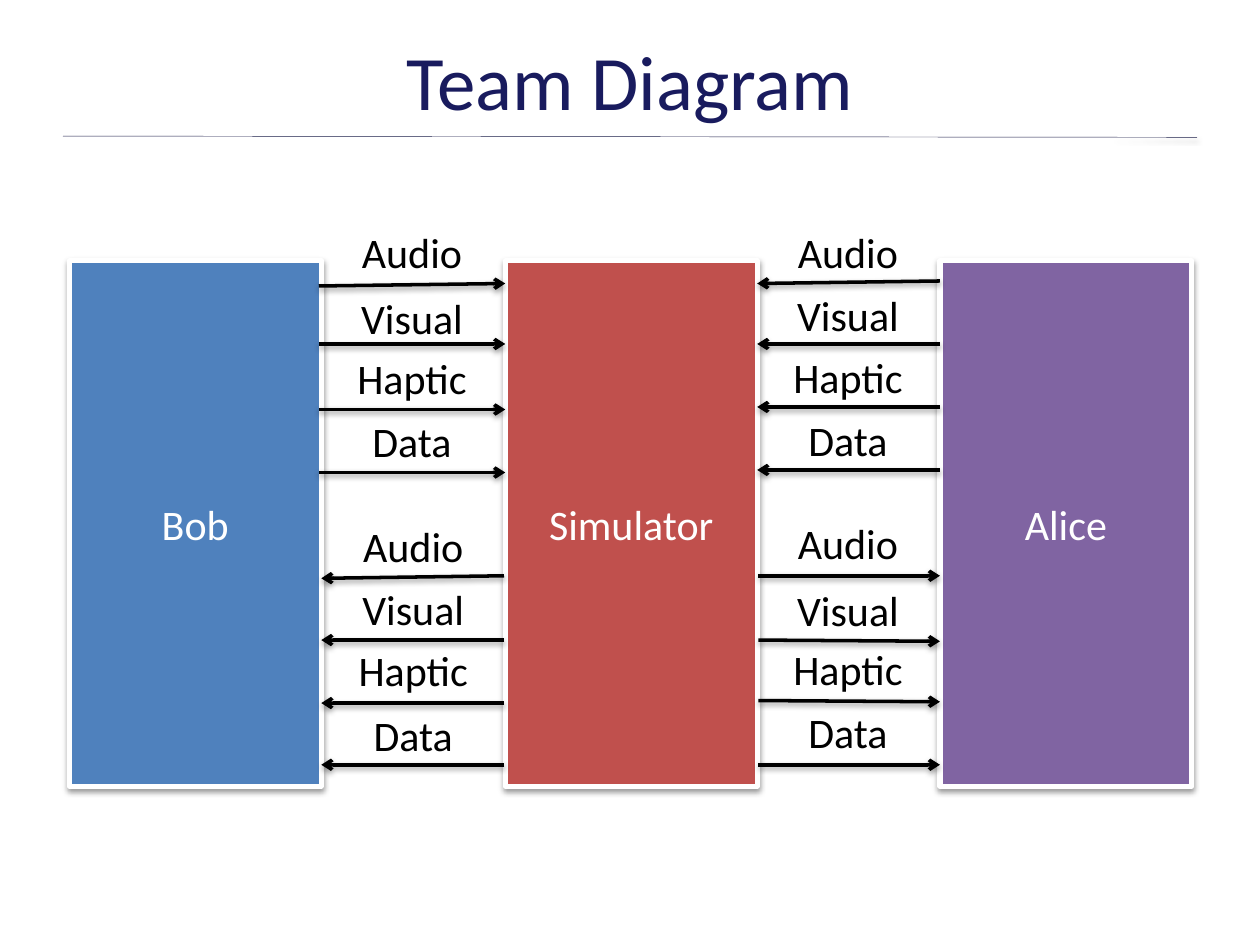
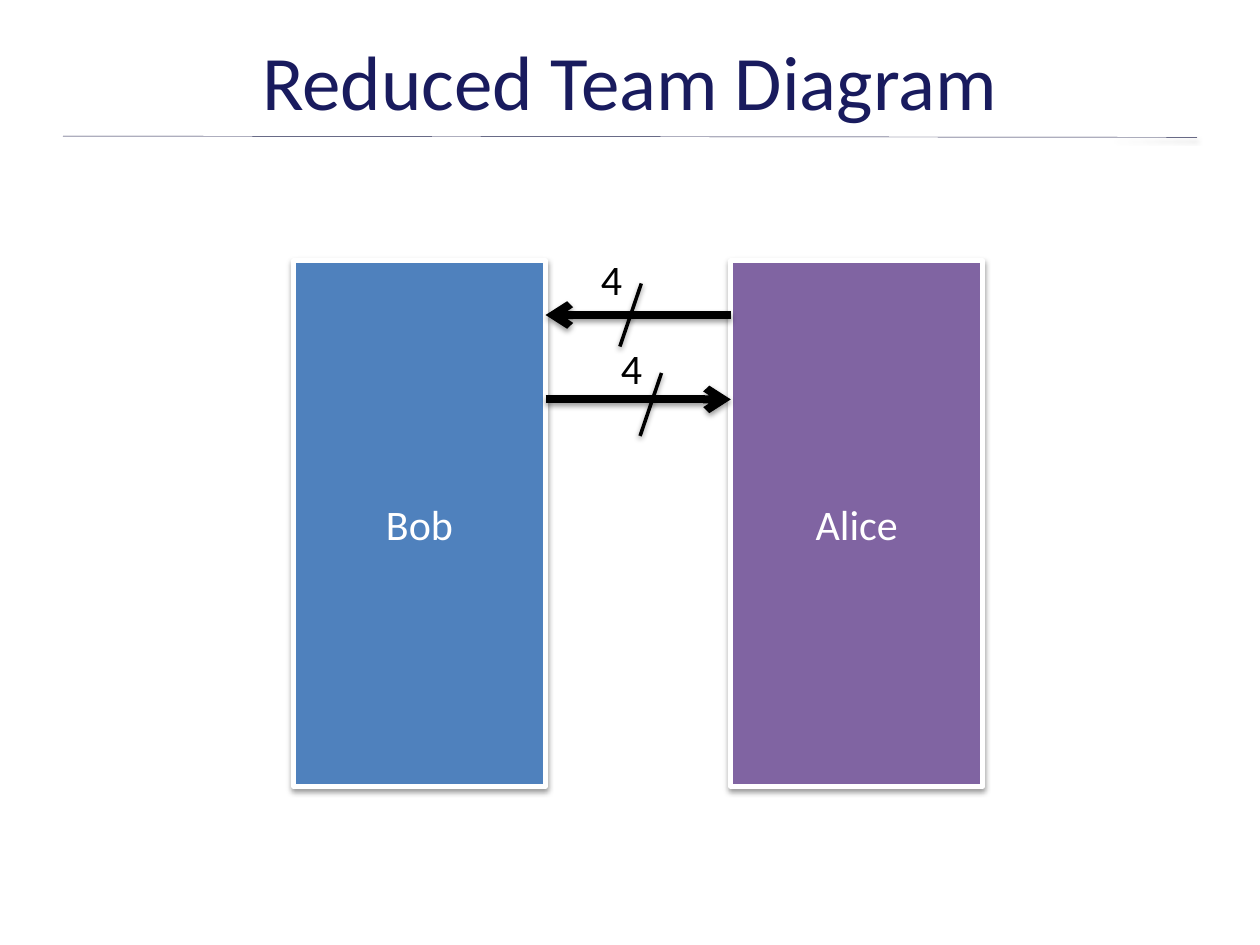
"""Build the full and the reduced team diagram slides."""
from lxml.etree import SubElement
from pptx import Presentation
from pptx.dml.color import RGBColor
from pptx.enum.shapes import MSO_CONNECTOR as Connector, MSO_SHAPE as Shape
from pptx.enum.text import MSO_ANCHOR as Anchor, MSO_AUTO_SIZE as AutoSize, PP_ALIGN as Align
from pptx.oxml.ns import qn
from pptx.util import Inches, Pt

FONT = "Calibri"
COLORS = {"title": "191B5E", "rule": "1A1C47", "white": "FFFFFF", "black": "000000",
          "Bob": "4F81BD", "Simulator": "C0504D", "Alice": "8064A2"}
BOX_TOP, BOX_WIDTH, BOX_HEIGHT = 2.07, 2, 4.17
LABEL_WIDTH, LABEL_HEIGHT = 1.46, 0.5

CHANNELS = ["Audio", "Visual", "Haptic", "Data"]
TEAM = {"Bob": 0.55, "Simulator": 4.01, "Alice": 7.46}
REDUCED_TEAM = {"Bob": 2.33, "Alice": 5.8}

# Each flow: arrow start x, arrow end x, label left, then label top, start y, end y per channel.
FLOWS = [
    (2.53, 4.01, 2.54, [(1.75, 2.27, 2.25), (2.27, 2.73, 2.73), (2.75, 3.25, 3.25), (3.25, 3.75, 3.75)]),
    (4, 2.55, 2.55, [(4.08, 4.57, 4.59), (4.58, 5.08, 5.08), (5.07, 5.58, 5.58), (5.58, 6.07, 6.07)]),
    (7.46, 6.01, 6, [(1.75, 2.23, 2.25), (2.25, 2.73, 2.73), (2.74, 3.23, 3.23), (3.24, 3.73, 3.73)]),
    (6.02, 7.46, 6, [(4.06, 4.57, 4.57), (4.59, 5.08, 5.09), (5.06, 5.56, 5.57), (5.56, 6.07, 6.07)]),
]
# Each bus: arrow start x, arrow end x, arrow y, slash left, slash top, label left, label top.
BUSES = [
    (5.8, 4.33, 2.5, 4.92, 2.25, 4.67, 1.96),
    (4.33, 5.8, 3.17, 5.08, 2.96, 4.83, 2.67),
]


def rgb(name):
    return RGBColor.from_string(COLORS[name])


def format_text(shape, size, color, align):
    for para in shape.text_frame.paragraphs:
        para.alignment = align
        for span in para.runs:
            span.font.name = FONT
            span.font.size = Pt(size)
            span.font.color.rgb = rgb(color)


def add_shadow(shape):
    properties = shape.element.spPr
    effects = properties.find(qn("a:effectLst"))
    if effects is None:
        effects = SubElement(properties, qn("a:effectLst"))
    shadow = SubElement(effects, qn("a:outerShdw"), blurRad="40000", dist="20000",
                        dir="5400000", rotWithShape="0")
    shade = SubElement(shadow, qn("a:srgbClr"), val=COLORS["black"])
    SubElement(shade, qn("a:alpha"), val="38000")


def add_line(page, start, end, width=2, color="black", arrow=True):
    line = page.shapes.add_connector(Connector.STRAIGHT, *map(Inches, start + end))
    line.line.color.rgb = rgb(color)
    line.line.width = Pt(width)
    if arrow:
        SubElement(line.element.spPr.find(qn("a:ln")), qn("a:tailEnd"), type="arrow")
    add_shadow(line)


def add_member(page, name, left):
    box = page.shapes.add_shape(Shape.RECTANGLE, *map(Inches, (left, BOX_TOP, BOX_WIDTH, BOX_HEIGHT)))
    box.fill.solid()
    box.fill.fore_color.rgb = rgb(name)
    box.line.color.rgb = rgb("white")
    box.line.width = Pt(3)
    box.shadow.inherit = False
    add_shadow(box)
    box.text_frame.text = name
    box.text_frame.vertical_anchor = Anchor.MIDDLE
    format_text(box, 24, "white", Align.CENTER)


def add_label(page, text, left, top, width=LABEL_WIDTH, wrap=True, align=Align.CENTER):
    label = page.shapes.add_textbox(*map(Inches, (left, top, width, LABEL_HEIGHT)))
    label.text_frame.text = text
    label.text_frame.word_wrap = wrap
    label.text_frame.auto_size = AutoSize.SHAPE_TO_FIT_TEXT
    format_text(label, 24, "black", align)


def add_page(deck, title, members):
    page = deck.slides.add_slide(deck.slide_layouts[5])
    add_line(page, (0.5, 1.08), (9.5, 1.09), 0.25, "rule", arrow=False)
    heading = page.shapes.title
    heading.left, heading.top, heading.width, heading.height = map(Inches, (0.5, 0.17, 9, 0.92))
    heading.text_frame.text = title
    heading.text_frame.vertical_anchor = Anchor.MIDDLE
    format_text(heading, 44, "title", Align.CENTER)
    for name, left in members.items():
        add_member(page, name, left)
    return page


def main():
    deck = Presentation()
    deck.slide_width, deck.slide_height = Inches(10), Inches(7.5)

    page = add_page(deck, "Team Diagram", TEAM)
    for start, end, label_left, rows in FLOWS:
        for channel, (label_top, start_y, end_y) in zip(CHANNELS, rows):
            add_line(page, (start, start_y), (end, end_y))
            add_label(page, channel, label_left, label_top)

    page = add_page(deck, "Reduced Team Diagram", REDUCED_TEAM)
    for start, end, y, slash_left, slash_top, label_left, label_top in BUSES:
        add_line(page, (start, y), (end, y), 4.5)
        add_line(page, (slash_left + 0.17, slash_top), (slash_left, slash_top + 0.5), arrow=False)
        add_label(page, str(len(CHANNELS)), label_left, label_top, 0.37, False, Align.LEFT)

    deck.save("out.pptx")


if __name__ == "__main__":
    main()
